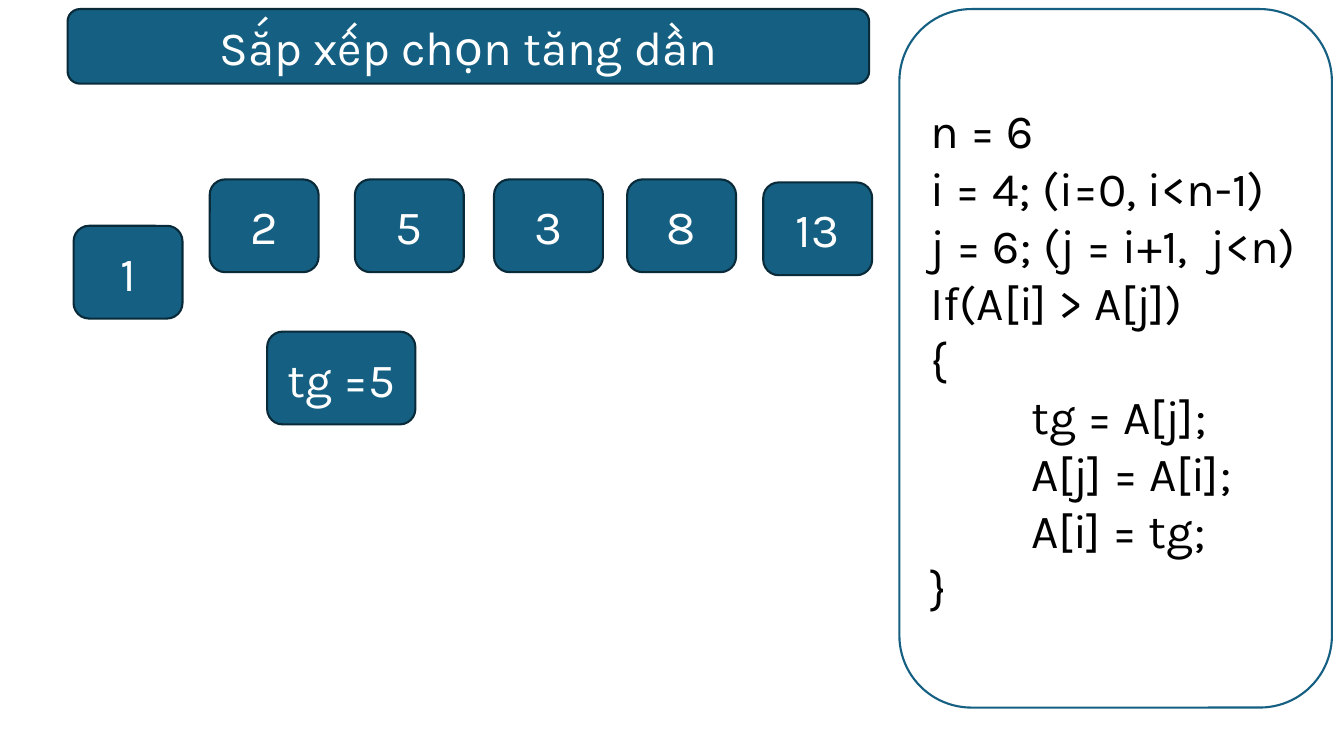
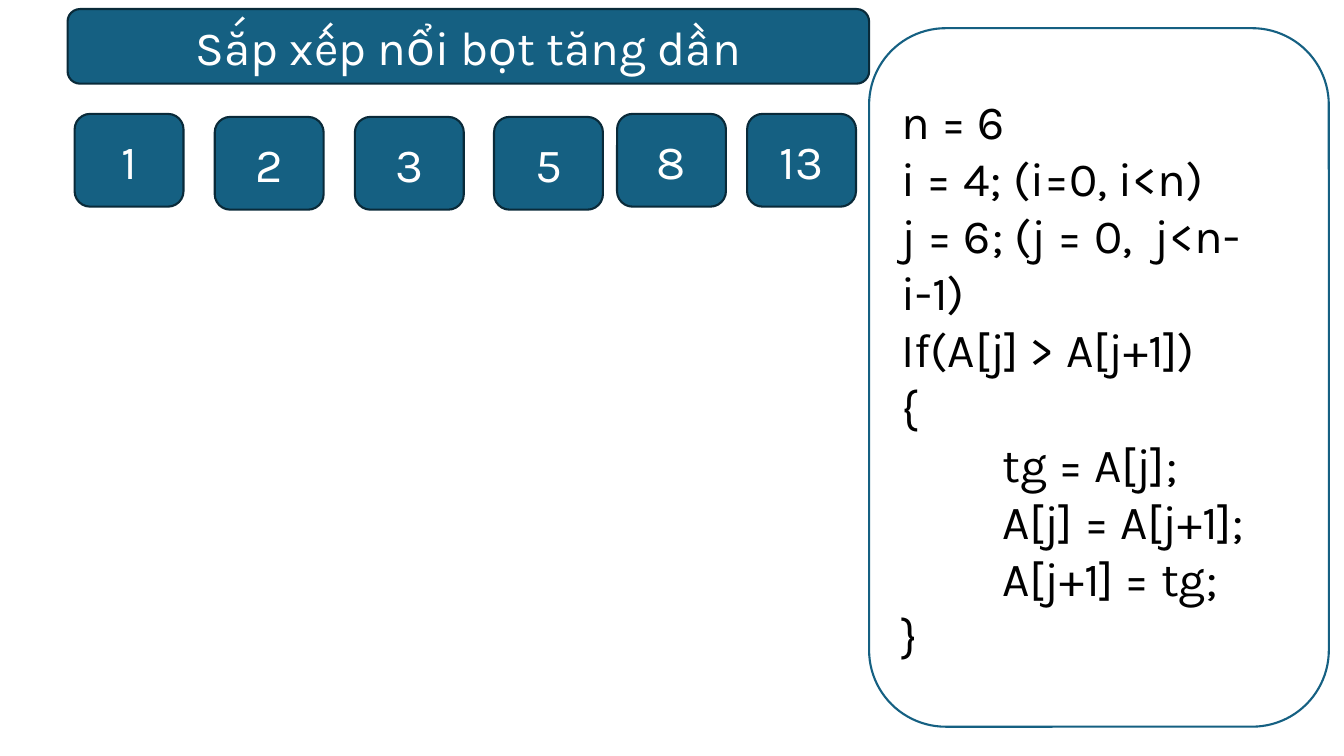
from pptx import Presentation
from pptx import util as u
from pptx.dml import color
from pptx.enum import shapes, text
from pptx.oxml import xmlchemy, ns
from lxml import etree

COLOURS = {
    "fill": "156082",
    "edge": "092A39",
    "light": "FFFFFF",
    "dark": "000000",
}


class SortingDeck:
    """Hold the shared style and the slide being built."""

    font = "Karla"
    size = 34
    edge_width = 1.5
    cell_width = 1.08
    cell_height = 0.92

    def __init__(self):
        self.deck = Presentation()
        self.deck.slide_width = u.Inches(13.33)
        self.deck.slide_height = u.Inches(7.5)
        self.page = None

    def new_page(self):
        self.page = self.deck.slides.add_slide(self.deck.slide_layouts[6])

    def colour(self, name):
        return color.RGBColor.from_string(COLOURS[name])

    def box(self, left, top, width, height, lines, fill="fill", edge="edge",
            ink="light", align=text.PP_ALIGN.CENTER):
        box = self.page.shapes.add_shape(
            shapes.MSO_SHAPE.ROUNDED_RECTANGLE,
            *(u.Inches(length) for length in (left, top, width, height)))
        box.shadow.inherit = False
        box.fill.solid()
        box.fill.fore_color.rgb = self.colour(fill)
        box.line.color.rgb = self.colour(edge)
        box.line.width = u.Pt(self.edge_width)
        frame = box.text_frame
        frame.word_wrap = True
        frame.vertical_anchor = text.MSO_ANCHOR.MIDDLE
        for index, line in enumerate(lines):
            para = frame.add_paragraph() if index else frame.paragraphs[0]
            para.alignment = align
            if line.startswith("\t"):
                self.tab_stop(para)
            span = para.add_run()
            span.text = line
            span.font.name = self.font
            span.font.size = u.Pt(self.size)
            span.font.color.rgb = self.colour(ink)

    def tab_stop(self, para):
        stops = etree.SubElement(para._p.get_or_add_pPr(), ns.qn("a:tabLst"))
        etree.SubElement(stops, ns.qn("a:tab"), pos=str(u.Inches(1)), algn="l")

    def title(self, wording):
        self.box(0.67, 0.09, 7.95, 0.74, [wording])

    def cell(self, left, top, label, width=cell_width):
        self.box(left, top, width, self.cell_height, [label])

    def array(self, cells):
        for label, left, top in cells:
            self.cell(left, top, label)

    def code_panel(self, left, top, width, lines):
        self.box(left, top, width, 6.93, lines, fill="light", edge="fill",
                 ink="dark", align=text.PP_ALIGN.LEFT)

    def save(self):
        self.deck.save("out.pptx")


def selection_sort(show):
    show.new_page()
    show.array([("1", 0.73, 2.24), ("2", 2.08, 1.78), ("5", 3.52, 1.78),
                ("3", 4.9, 1.78), ("8", 6.22, 1.78), ("13", 7.57, 1.81)])
    show.code_panel(8.92, 0.09, 4.29, [
        "n = 6",
        "i = 4; (i=0, i<n-1)",
        "j = 6; (j = i+1,  j<n)",
        "If(A[i] > A[j])",
        "{",
        "\ttg = A[j];",
        "\tA[j] = A[i];",
        "\tA[i] = tg;",
        "}",
    ])
    show.title("Sắp xếp chọn tăng dần")
    show.cell(2.65, 3.29, "tg =5", width=1.47)


def bubble_sort(show):
    show.new_page()
    show.array([("1", 0.74, 1.13), ("2", 2.13, 1.16), ("3", 3.52, 1.16),
                ("5", 4.9, 1.16), ("8", 6.12, 1.13), ("13", 7.41, 1.13)])
    show.code_panel(8.62, 0.28, 4.56, [
        "n = 6",
        "i = 4; (i=0, i<n)",
        "j = 6; (j = 0,  j<n-i-1)",
        "If(A[j] > A[j+1])",
        "{",
        "\ttg = A[j];",
        "\tA[j] = A[j+1];",
        "\tA[j+1] = tg;",
        "}",
    ])
    show.title("Sắp xếp nổi bọt tăng dần")


def main():
    show = SortingDeck()
    selection_sort(show)
    bubble_sort(show)
    show.save()


if __name__ == "__main__":
    main()
